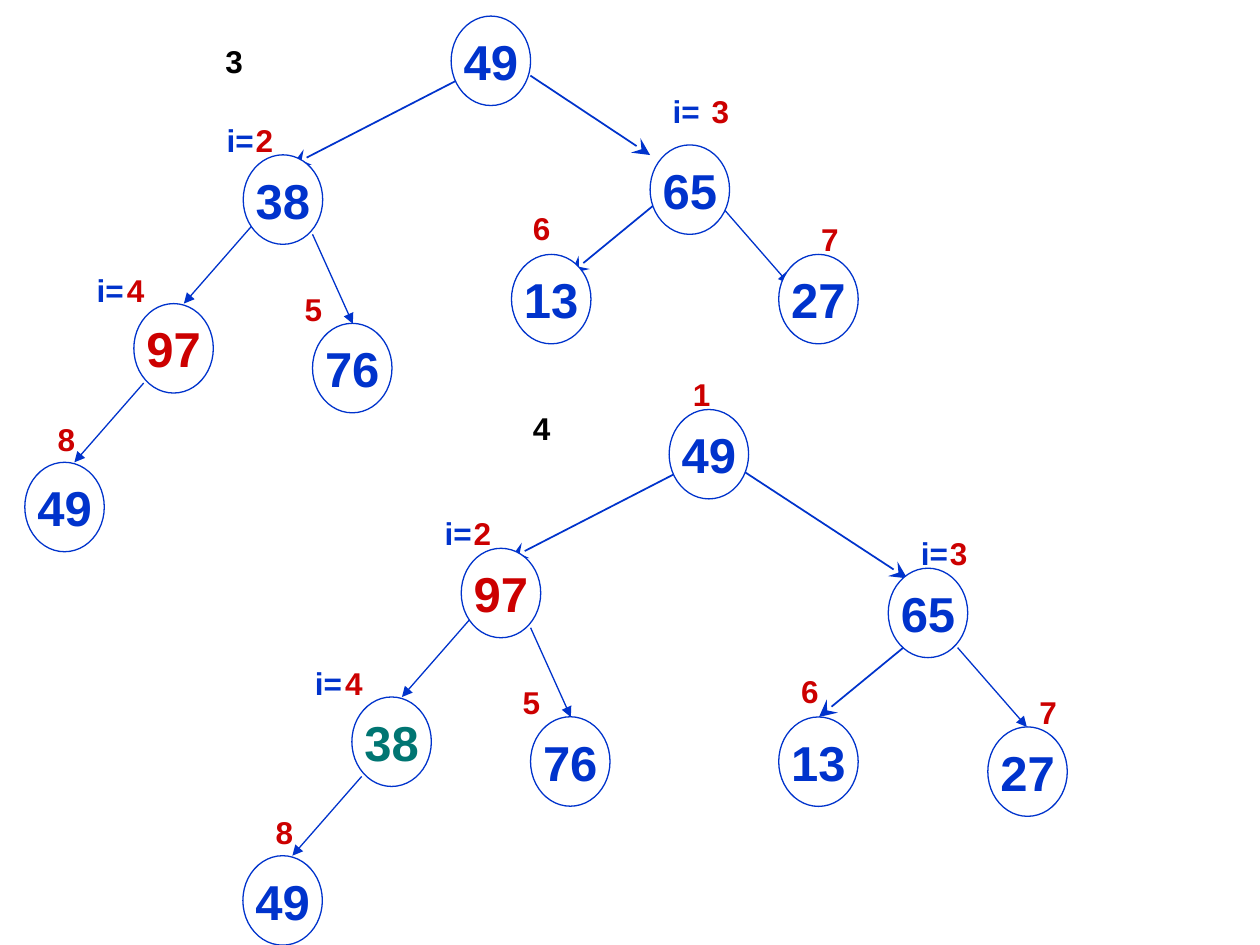
from lxml.etree import SubElement
from pptx import Presentation
from pptx.dml.color import RGBColor
from pptx.enum.shapes import MSO_CONNECTOR as Link, MSO_SHAPE as Kind
from pptx.enum.text import MSO_ANCHOR as Anchor, PP_ALIGN as Align
from pptx.oxml.ns import qn
from pptx.util import Pt

INK = {"blue": "0033CC", "red": "CC0000", "teal": "007572",
       "black": "000000", "white": "FFFFFF"}
FONT = "Arial"
NODE_W, NODE_H = 45.4, 51.1
TAG_H = 28.8
THIN, BOLD = 0.75, 1
HEADS = {"stealth": (BOLD, "lg"), "triangle": (THIN, "med")}

LEFT_SPOTS = [(257.8, 9.2), (139, 88.5), (76.5, 173.5), (178.6, 184.8), (14.2, 264.2)]
LEFT_EDGES = [
    (266.4, 43.2, 167, 94.3, "stealth"),
    (178.6, 133.9, 201.6, 185, "triangle"),
    (144.7, 128.2, 105.1, 173.5, "triangle"),
    (82.1, 218.9, 42.5, 264.2, "triangle"),
]
LEFT_TAGS = [
    ("i=", 122.4, 65.5, 32, "blue"), ("2", 139, 65.5, 22.3, "red"),
    ("i=", 48.2, 151.2, 32, "blue"), ("4", 65.5, 151.2, 24.5, "red"),
    ("5", 167, 162, 22.3, "red"), ("8", 25.9, 236.2, 24.5, "red"),
]
RIGHT_KEYS = ["65", "13", "27"]

TREES = [
    {
        "shift": (0, 0),
        "left": [("49", "blue"), ("38", "blue"), ("97", "red"),
                 ("76", "blue"), ("49", "blue")],
        "right": [(371.5, 82.8), (292.3, 145.4), (445, 145.4)],
        "edges": [
            (303.1, 43.2, 371.5, 88.6, "stealth"),
            (374.4, 116.6, 326.2, 156.2, "stealth"),
            (411.1, 116.6, 450.7, 162, "triangle"),
        ],
        "tags": [
            ("3", 121.7, 20.2, 73.4, "black"),
            ("i=", 377.3, 49, 32, "blue"), ("3", 399.6, 49, 30.2, "red"),
            ("6", 297.4, 115.9, 25.9, "red"), ("7", 462.2, 122.4, 24.5, "red"),
        ],
    },
    {
        "shift": (124.6, 224.8),
        "left": [("49", "blue"), ("97", "red"), ("38", "teal"),
                 ("76", "blue"), ("49", "blue")],
        "right": [(383, 99.9), (320.4, 184.9), (439.9, 190.6)],
        "edges": [
            (298, 43, 393.8, 105.7, "stealth"),
            (391.6, 145.3, 343.4, 184.9, "stealth"),
            (422.6, 145.3, 462.2, 190.6, "triangle"),
        ],
        "tags": [
            ("4", 172.8, 5.6, 73.4, "black"), ("1", 264.2, -13.8, 24.5, "red"),
            ("i=", 394.5, 76.9, 32, "blue"), ("3", 411.1, 76.9, 30.2, "red"),
            ("6", 326.1, 155.4, 25.9, "red"), ("7", 462.2, 167.6, 24.5, "red"),
        ],
    },
]


def hue(name):
    return RGBColor.from_string(INK[name])


def write(frame, text, size, ink):
    run = frame.paragraphs[0].add_run()
    run.text = text
    font = run.font
    font.name, font.size, font.bold = FONT, Pt(size), True
    font.color.rgb = hue(ink)


def edge(shapes, dx, dy, x1, y1, x2, y2, head):
    line = shapes.add_connector(Link.STRAIGHT, Pt(x1 + dx), Pt(y1 + dy),
                                Pt(x2 + dx), Pt(y2 + dy))
    thick, size = HEADS[head]
    line.line.color.rgb = hue("blue")
    line.line.width = Pt(thick)
    props = line._element.spPr
    SubElement(props.find(qn("a:ln")), qn("a:tailEnd"), type=head, w=size, len=size)
    SubElement(props, qn("a:effectLst"))


def tag(shapes, dx, dy, text, x, y, wide, ink):
    box = shapes.add_textbox(Pt(x + dx), Pt(y + dy), Pt(wide), Pt(TAG_H))
    box.text_frame.word_wrap = True
    write(box.text_frame, text, 18, ink)


def node(shapes, dx, dy, text, ink, x, y):
    oval = shapes.add_shape(Kind.OVAL, Pt(x + dx), Pt(y + dy), Pt(NODE_W), Pt(NODE_H))
    oval.shadow.inherit = False
    oval.fill.solid()
    oval.fill.fore_color.rgb = hue("white")
    oval.line.color.rgb = hue("blue")
    oval.line.width = Pt(THIN)
    frame = oval.text_frame
    frame.word_wrap = False
    frame.vertical_anchor = Anchor.MIDDLE
    frame.paragraphs[0].alignment = Align.CENTER
    write(frame, text, 28, ink)


def main():
    """Build a slide with two steps of heap building drawn as trees."""
    deck = Presentation()
    deck.slide_width, deck.slide_height = Pt(720), Pt(540)
    shapes = deck.slides.add_slide(deck.slide_layouts[6]).shapes
    for tree in TREES:
        dx, dy = tree["shift"]
        for item in LEFT_EDGES + tree["edges"]:
            edge(shapes, dx, dy, *item)
        for item in LEFT_TAGS + tree["tags"]:
            tag(shapes, dx, dy, *item)
        keys = tree["left"] + [(key, "blue") for key in RIGHT_KEYS]
        for (text, ink), (x, y) in zip(keys, LEFT_SPOTS + tree["right"]):
            node(shapes, dx, dy, text, ink, x, y)
    deck.save("out.pptx")


if __name__ == "__main__":
    main()
